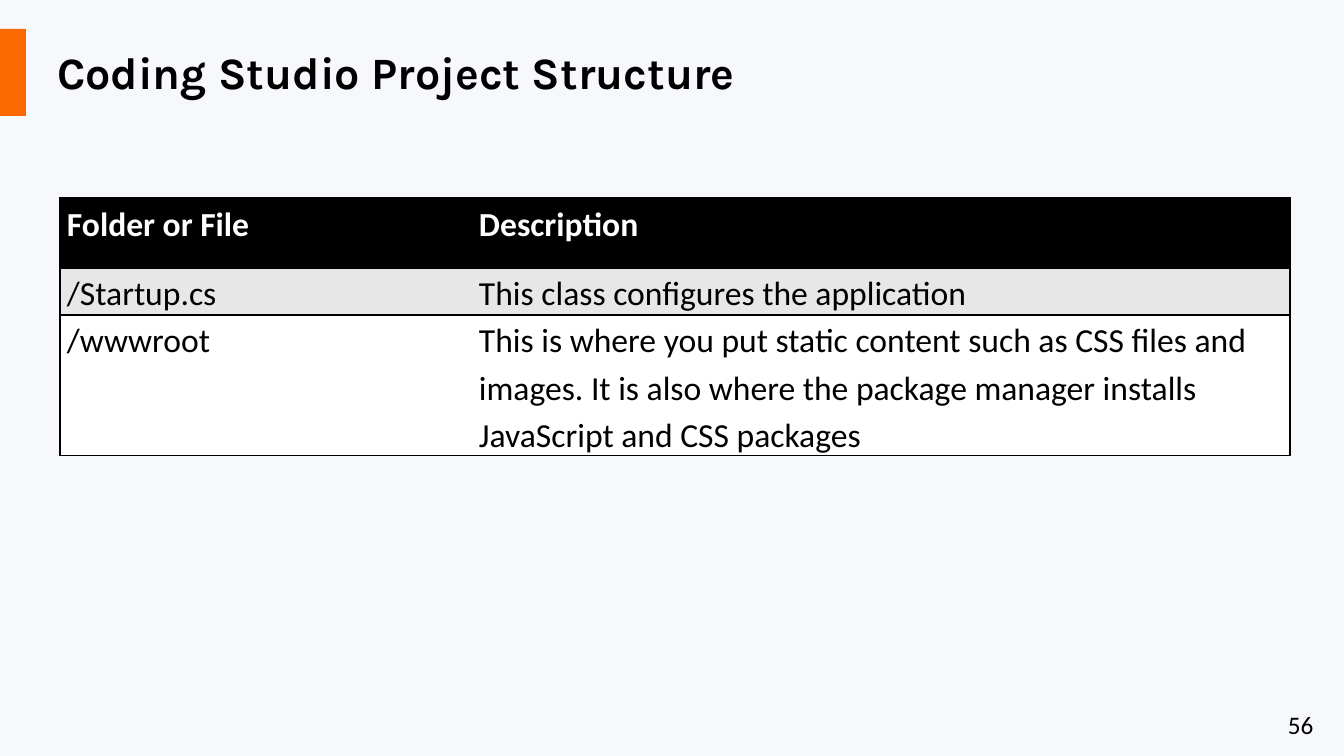
import dataclasses

import pptx
import pptx.dml.color
import pptx.enum.shapes
import pptx.enum.text
import pptx.oxml
import pptx.oxml.ns
import pptx.util

ALIGN = pptx.enum.text.PP_ALIGN
ANCHOR = pptx.enum.text.MSO_ANCHOR
SCALE = 914400 / 100.8


@dataclasses.dataclass
class Theme:
    back: str = "F6F8FC"
    accent: str = "FA6800"
    ink: str = "000000"
    white: str = "FFFFFF"
    band: str = "E7E7E7"
    head: str = "Karla"
    body: str = "Calibri"
    title: int = 32
    cell: int = 24
    page: int = 18


def px(count):
    return pptx.util.Emu(round(count * SCALE))


def rgb(code):
    return pptx.dml.color.RGBColor.from_string(code)


def paint(fill, code):
    fill.solid()
    fill.fore_color.rgb = rgb(code)


def apply(item, values):
    for name, value in values.items():
        setattr(item, name, value)


class Deck:
    def __init__(self, theme):
        self.theme = theme
        self.file = pptx.Presentation()
        apply(self.file, {"slide_width": px(1344), "slide_height": px(756)})
        self.slide = self.file.slides.add_slide(self.file.slide_layouts[5])
        paint(self.slide.background.fill, theme.back)

    def text(self, frame, words, size, color, font=None, bold=False,
             align=ALIGN.LEFT, space=1.0):
        para = frame.paragraphs[0]
        apply(para, {"alignment": align, "line_spacing": space})
        run = para.add_run()
        run.text = words
        apply(run.font, {"name": font or self.theme.body, "bold": bold,
                         "size": pptx.util.Pt(size)})
        run.font.color.rgb = rgb(color)

    def bar(self, *box):
        shape = self.slide.shapes.add_shape(
            pptx.enum.shapes.MSO_SHAPE.RECTANGLE, *map(px, box))
        shape.shadow.inherit = False
        paint(shape.fill, self.theme.accent)
        shape.line.fill.background()

    def title(self, words, *box):
        shape = self.slide.shapes.title
        apply(shape, dict(zip(("left", "top", "width", "height"), map(px, box))))
        apply(shape.text_frame, {"vertical_anchor": ANCHOR.MIDDLE, "word_wrap": True})
        self.text(shape.text_frame, words, self.theme.title, self.theme.ink,
                  self.theme.head, bold=True)

    def label(self, words, *box):
        frame = self.slide.shapes.add_textbox(*map(px, box)).text_frame
        frame.word_wrap = False
        self.text(frame, words, self.theme.page, self.theme.ink)

    def edge(self, cell, sides):
        """Draw 1 pt lines on the given sides (of L, R, T, B) and clear the others."""
        props = cell._tc.get_or_add_tcPr()
        for spot, side in enumerate("LRTB"):
            fill = (f'<a:solidFill><a:srgbClr val="{self.theme.ink}"/></a:solidFill>'
                    if side in sides else "<a:noFill/>")
            line = pptx.oxml.parse_xml(
                f'<a:ln{side} {pptx.oxml.ns.nsdecls("a")} w="12700">{fill}</a:ln{side}>')
            props.insert(spot, line)

    def table(self, rows, left, top, widths, heights):
        """Place a two-column table whose first row is the header."""
        theme = self.theme
        grid = self.slide.shapes.add_table(
            len(rows), len(widths), px(left), px(top),
            px(sum(widths)), px(sum(heights))).table
        apply(grid, {"first_row": False, "horz_banding": False})
        for col, width in zip(grid.columns, widths):
            col.width = px(width)
        fills = (theme.ink, theme.band, theme.white)
        for r, (texts, height, fill) in enumerate(zip(rows, heights, fills)):
            grid.rows[r].height = px(height)
            color = theme.ink if r else theme.white
            for c, words in enumerate(texts):
                cell = grid.cell(r, c)
                apply(cell, {"margin_left": px(7), "margin_right": px(7),
                             "margin_top": 0, "margin_bottom": 0,
                             "vertical_anchor": ANCHOR.TOP})
                paint(cell.fill, fill)
                self.edge(cell, "RTB" if c else "LTB")
                align = ALIGN.JUSTIFY if c and not r else ALIGN.LEFT
                self.text(cell.text_frame, words, theme.cell, color,
                          bold=not r, align=align, space=1.15)


def main():
    deck = Deck(Theme())
    deck.bar(0, 29, 26, 87)
    deck.label("56", 1278, 704, 50, 40)
    deck.title("Coding Studio Project Structure", 47, 29, 953, 86)
    rows = [
        ("Folder or File", "Description"),
        ("/Startup.cs", "This class configures the application"),
        ("/wwwroot", "This is where you put static content such as CSS files and "
                     "images. It is also where the package manager installs "
                     "JavaScript and CSS packages"),
    ]
    deck.table(rows, 60, 198, widths=(412, 818), heights=(70, 47, 141))
    deck.file.save("out.pptx")


if __name__ == "__main__":
    main()
